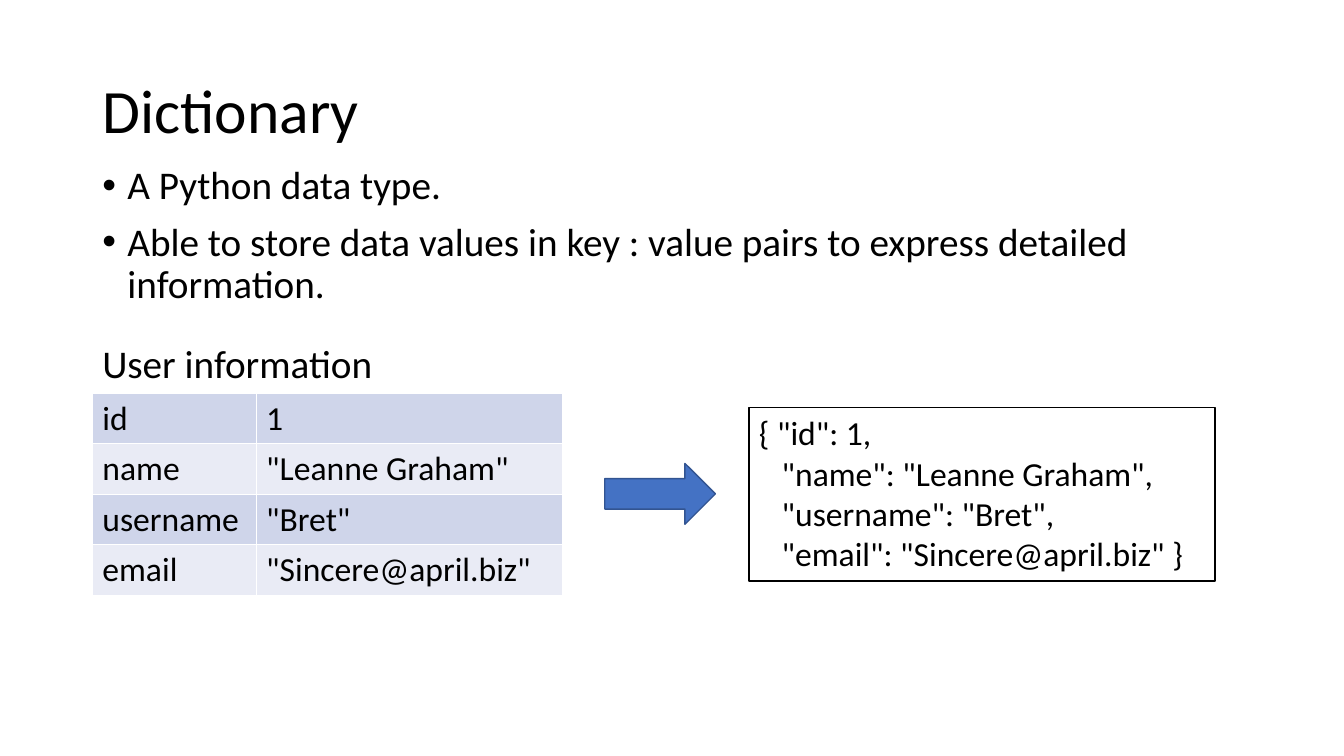
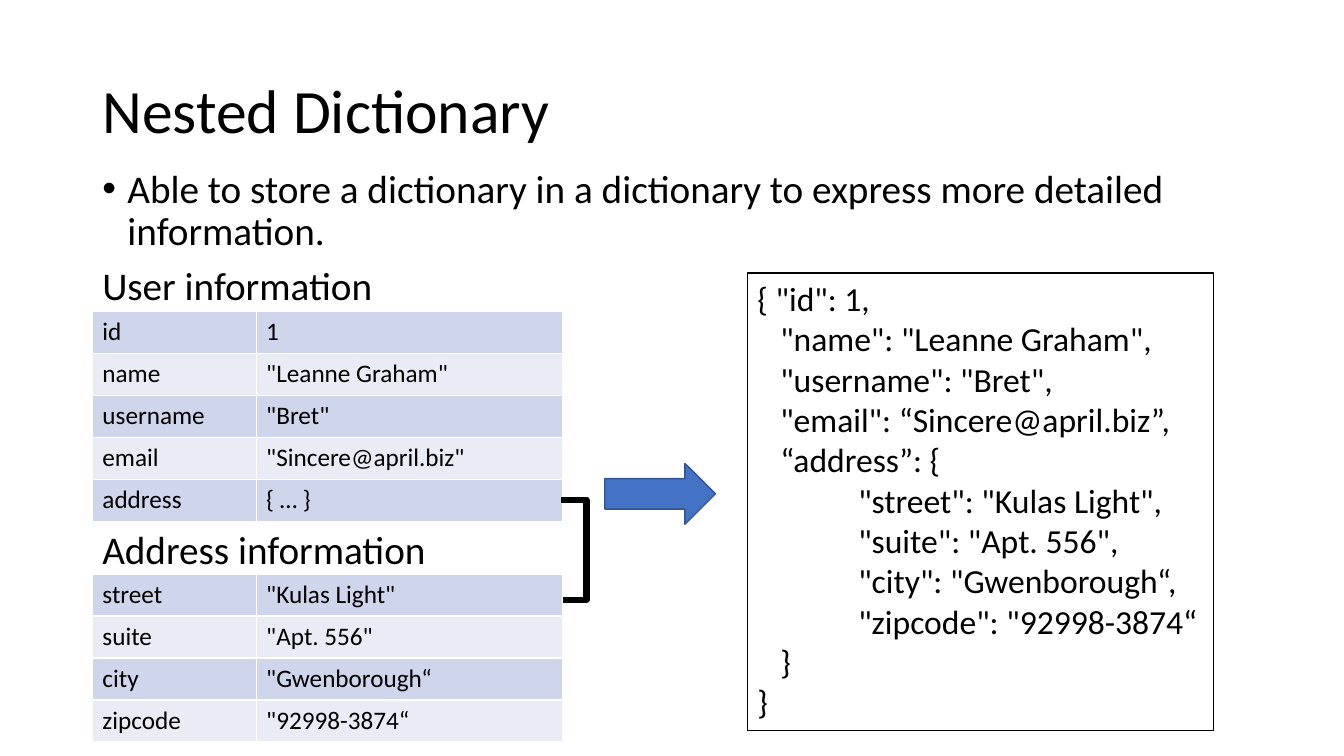
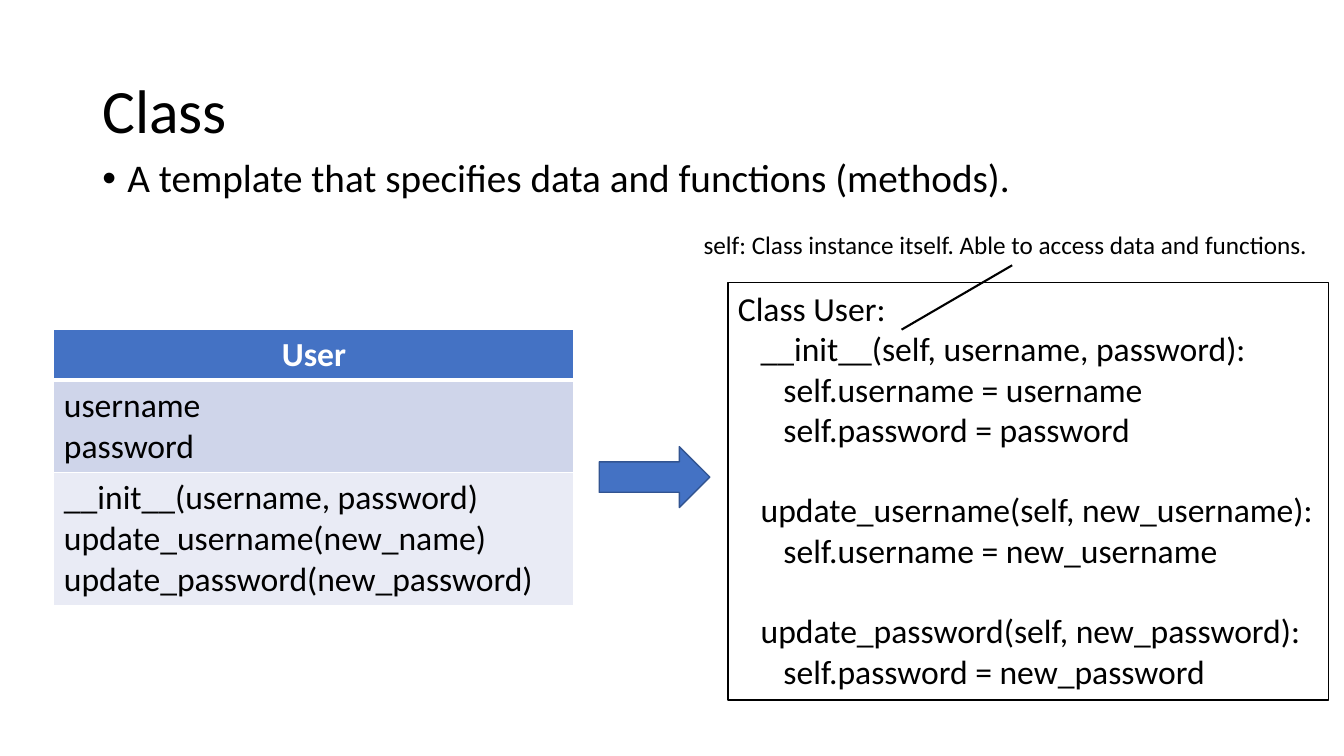
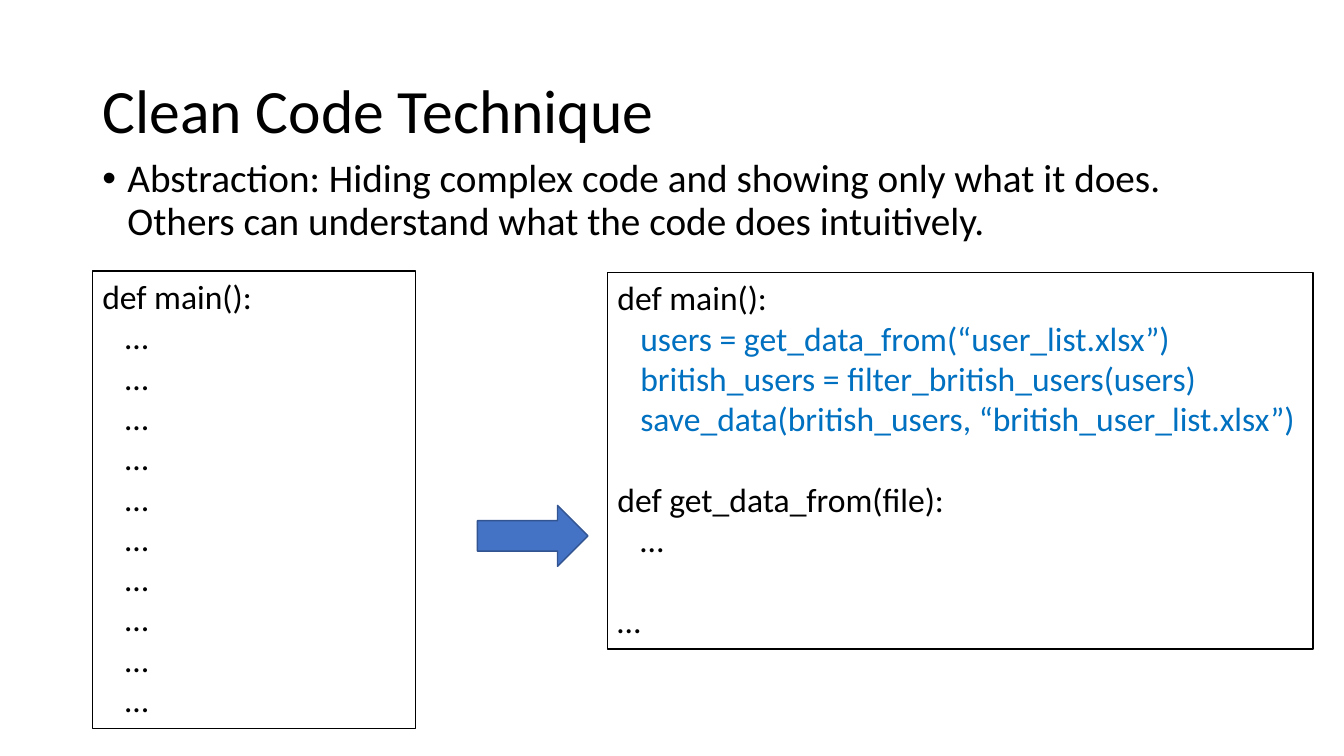
import pptx
import pptx.dml.color
import pptx.enum.shapes
import pptx.enum.text
import pptx.oxml.ns
import pptx.util
import lxml.etree

Pt = pptx.util.Pt
SHAPES = pptx.enum.shapes.MSO_SHAPE
CONNECTORS = pptx.enum.shapes.MSO_CONNECTOR
ALIGN = pptx.enum.text.PP_ALIGN
ANCHOR = pptx.enum.text.MSO_ANCHOR

FONT = "Calibri"
BLACK, WHITE = "000000", "FFFFFF"
ACCENT, ACCENT_EDGE, HIGHLIGHT = "4472C4", "325491", "0070C0"
BANDS = ["CFD5EA", "E9EBF5"]
LEFT = 66
STEP, TAB = 16.3, 72
BLANK_LINE = 28.8

USER = [
    ("id", "1"),
    ("name", '"Leanne Graham"'),
    ("username", '"Bret"'),
    ("email", '"Sincere@april.biz"'),
]
ADDRESS = [
    ("street", '"Kulas Light"'),
    ("suite", '"Apt. 556"'),
    ("city", '"Gwenborough“'),
    ("zipcode", '"92998-3874“'),
]
USER_CODE = [
    (0, '{ "id": 1,'),
    (STEP, '"name": "Leanne Graham",'),
    (STEP, '"username": "Bret",'),
]
USER_COLUMNS = [117, 219]

SLIDES = [
    {
        "title": "Dictionary",
        "body_top": 115,
        "bullets": [
            "A Python data type.",
            "Able to store data values in key : value pairs to express detailed information.",
        ],
        "labels": [("User information", LEFT, 239, 261, 28)],
        "tables": [{"at": (LEFT, 281), "columns": USER_COLUMNS, "heights": [36] * 4, "rows": USER, "size": 24}],
        "arrow": (432, 331),
        "code": [((535, 291, 333, 124), USER_CODE + [(STEP, '"email": "Sincere@april.biz" }')])],
    },
    {
        "title": "Nested Dictionary",
        "body_top": 117.4,
        "bullets": ["Able to store a dictionary in a dictionary to express more detailed information."],
        "labels": [
            ("User information", LEFT, 183, 261, 28),
            ("Address information", LEFT, 372, 261, 28),
        ],
        "tables": [
            {"at": (LEFT, 222.5), "columns": USER_COLUMNS, "heights": [30] * 5,
             "rows": USER + [("address", "{ … }")], "size": 18},
            {"at": (LEFT, 410), "columns": USER_COLUMNS, "heights": [30] * 4, "rows": ADDRESS, "size": 18},
        ],
        "arrow": (432, 331),
        "code": [((534, 195, 333, 327), USER_CODE + [
            (STEP, '"email": “Sincere@april.biz”,'),
            (STEP, "“address”: {"),
            (TAB, '"street": "Kulas Light",'),
            (TAB, '"suite": "Apt. 556",'),
            (TAB, '"city": "Gwenborough“,'),
            (TAB, '"zipcode": "92998-3874“'),
            (STEP, "}"),
            (0, "}"),
        ])],
        "bracket": (401, 357, 402, 428.5),
    },
    {
        "title": "Class",
        "body_top": 110,
        "bullets": ["A template that specifies data and functions (methods)."],
        "labels": [("self: Class instance itself. Able to access data and functions.", 495.5, 160.5, 454, 18)],
        "tables": [{
            "at": (38.5, 235.5), "columns": [371.5], "heights": [36, 66, 95], "size": 24, "header": True,
            "rows": [
                ("User",),
                ("username\npassword",),
                ("__init__(username, password)\nupdate_username(new_name)\nupdate_password(new_password)",),
            ],
        }],
        "arrow": (428, 319),
        "code": [((520, 202, 429, 298), [
            (0, "Class User:"),
            (STEP, "__init__(self, username, password):"),
            (2 * STEP, "self.username = username"),
            (2 * STEP, "self.password = password"),
            None,
            (STEP, "update_username(self, new_username):"),
            (2 * STEP, "self.username = new_username"),
            None,
            (STEP, "update_password(self, new_password):"),
            (2 * STEP, "self.password = new_password"),
        ])],
        "pointer": (723, 189.5, 644, 235.5),
    },
    {
        "title": "Clean Code Technique",
        "body_top": 110,
        "bullets": ["Abstraction: Hiding complex code and showing only what it does. "
                    "Others can understand what the code does intuitively."],
        "arrow": (341, 361),
        "code": [
            ((434, 194.5, 504, 269), [
                (0, "def main():"),
                (STEP, "users = get_data_from(“user_list.xlsx”)", HIGHLIGHT),
                (STEP, "british_users = filter_british_users(users)", HIGHLIGHT),
                (STEP, "save_data(british_users, “british_user_list.xlsx”)", HIGHLIGHT),
                None,
                (0, "def get_data_from(file):"),
                (STEP, "…"),
                None,
                (0, "…"),
            ]),
            ((LEFT, 193.5, 231, 327), [(0, "def main():")] + [(STEP, "…")] * 10),
        ],
    },
]


def rgb(value):
    return pptx.dml.color.RGBColor.from_string(value)


def add_element(parent, tag, **attributes):
    return lxml.etree.SubElement(parent, pptx.oxml.ns.qn(tag), attributes)


def write(paragraph, text, size=24, color=BLACK, bold=False, align=ALIGN.LEFT,
          before=0, spacing=1.0, indent=0, bullet=False):
    paragraph.alignment = align
    paragraph.space_before = Pt(before)
    paragraph.line_spacing = spacing
    properties = paragraph._p.get_or_add_pPr()
    properties.set("marL", str(Pt(indent)))
    properties.set("indent", str(Pt(-indent if bullet else 0)))
    if bullet:
        add_element(properties, "a:buFont", typeface="Arial")
        add_element(properties, "a:buChar", char="•")
    run = paragraph.add_run()
    run.text = text
    run.font.name = FONT
    run.font.size = Pt(size)
    run.font.bold = bold
    run.font.color.rgb = rgb(color)


def next_paragraph(frame, index):
    return frame.add_paragraph() if index else frame.paragraphs[0]


def add_text_box(slide, box, lines, **style):
    frame = slide.shapes.add_textbox(*map(Pt, box)).text_frame
    frame.word_wrap = True
    for index, line in enumerate(lines):
        write(next_paragraph(frame, index), line, **style)


def add_shape(slide, kind, box, fill, line):
    shape = slide.shapes.add_shape(kind, *map(Pt, box))
    shape.shadow.inherit = False
    shape.fill.solid()
    shape.fill.fore_color.rgb = rgb(fill)
    shape.line.color.rgb = rgb(line)
    shape.line.width = Pt(1)
    return shape


def add_code(slide, box, lines):
    frame = add_shape(slide, SHAPES.RECTANGLE, box, WHITE, BLACK).text_frame
    frame.word_wrap = True
    frame.vertical_anchor = ANCHOR.TOP
    before = 0
    for index, line in enumerate(lines):
        if line is None:
            before = BLANK_LINE
            continue
        indent, text, *color = line
        write(next_paragraph(frame, index), text, indent=indent, before=before,
              color=color[0] if color else BLACK)
        before = 0


def set_borders(cell, bottom):
    properties = cell._tc.get_or_add_tcPr()
    for side, width in (("L", 1), ("R", 1), ("T", 1), ("B", bottom)):
        border = add_element(properties, "a:ln" + side, w=str(Pt(width)))
        add_element(add_element(border, "a:solidFill"), "a:srgbClr", val=WHITE)


def add_table(slide, at, columns, heights, rows, size, header=False):
    box = (*at, sum(columns), sum(heights))
    table = slide.shapes.add_table(len(rows), len(columns), *map(Pt, box)).table
    table.first_row = header
    table.horz_banding = False
    for column, width in zip(table.columns, columns):
        column.width = Pt(width)
    for row_index, (values, height) in enumerate(zip(rows, heights)):
        table.rows[row_index].height = Pt(height)
        is_header = header and row_index == 0
        for column_index, value in enumerate(values):
            cell = table.cell(row_index, column_index)
            set_borders(cell, 3 if is_header else 1)
            cell.fill.solid()
            cell.fill.fore_color.rgb = rgb(ACCENT if is_header else BANDS[(row_index - header) % 2])
            for index, line in enumerate(value.split("\n")):
                write(next_paragraph(cell.text_frame, index), line, size=size, bold=is_header,
                      color=WHITE if is_header else BLACK,
                      align=ALIGN.CENTER if is_header else ALIGN.LEFT)


def add_line(slide, kind, ends, width):
    connector = slide.shapes.add_connector(kind, *map(Pt, ends))
    connector.line.color.rgb = rgb(BLACK)
    connector.line.width = Pt(width)
    add_element(connector.element.spPr, "a:effectLst")
    return connector


def add_bracket(slide, ends, reach=18):
    connector = add_line(slide, CONNECTORS.ELBOW, ends, 4.5)
    guides = connector.element.spPr.find(pptx.oxml.ns.qn("a:prstGeom")).get_or_add_avLst()
    ratio = round(reach / (ends[2] - ends[0]) * 100000)
    add_element(guides, "a:gd", name="adj1", fmla=f"val {ratio}")


def set_title(slide, text):
    title = slide.shapes.title
    title.left, title.top, title.width, title.height = map(Pt, (LEFT, 29, 828, 104))
    title.text_frame.auto_size = pptx.enum.text.MSO_AUTO_SIZE.NONE
    title.text_frame.vertical_anchor = ANCHOR.MIDDLE
    write(title.text_frame.paragraphs[0], text, size=44, spacing=0.9)


def build_slide(presentation, content):
    slide = presentation.slides.add_slide(presentation.slide_layouts[5])
    set_title(slide, content["title"])
    add_text_box(slide, (LEFT, content["body_top"], 828, 80), content["bullets"],
                 size=28, before=10, spacing=0.9, indent=18, bullet=True)
    for table in content.get("tables", []):
        add_table(slide, **table)
    for text, left, top, width, size in content.get("labels", []):
        add_text_box(slide, (left, top, width, size * 1.2 + 7.2), [text], size=size)
    for box, lines in content["code"]:
        add_code(slide, box, lines)
    add_shape(slide, SHAPES.RIGHT_ARROW, (*content["arrow"], 79, 43.5), ACCENT, ACCENT_EDGE)
    if "bracket" in content:
        add_bracket(slide, content["bracket"])
    if "pointer" in content:
        add_line(slide, CONNECTORS.STRAIGHT, content["pointer"], 1.5)


def main():
    presentation = pptx.Presentation()
    presentation.slide_width = Pt(960)
    presentation.slide_height = Pt(540)
    for content in SLIDES:
        build_slide(presentation, content)
    presentation.save("out.pptx")


if __name__ == "__main__":
    main()
